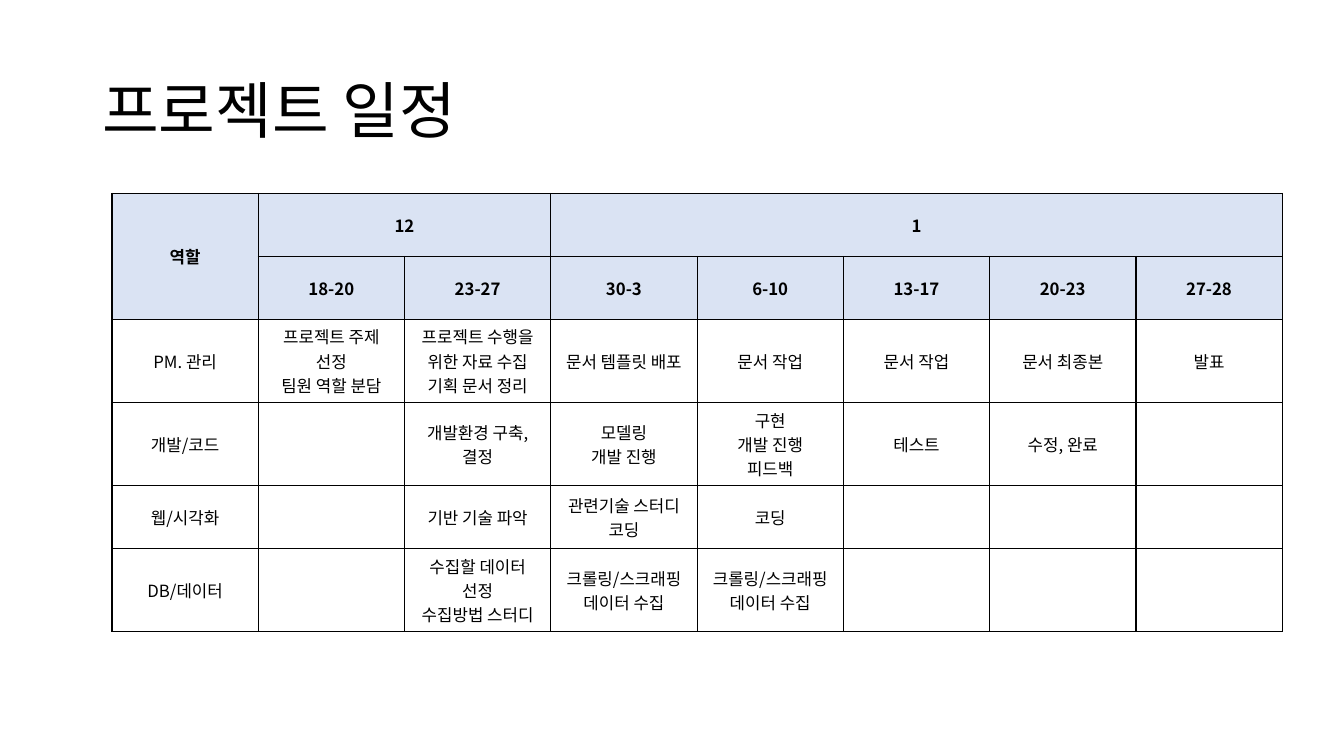
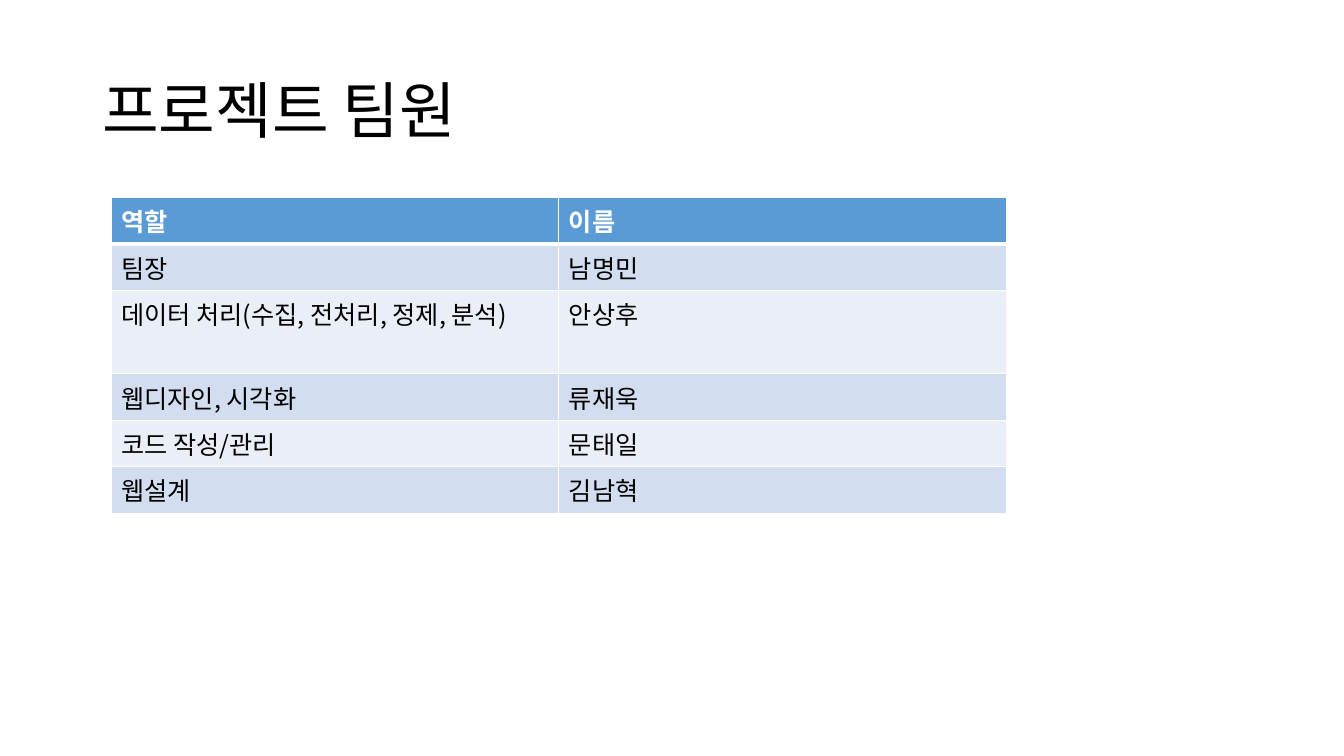
from lxml.etree import SubElement
from pptx import Presentation
from pptx.dml.color import RGBColor
from pptx.enum.text import MSO_ANCHOR, PP_ALIGN
from pptx.oxml.ns import qn
from pptx.util import Pt

FONT = "Noto Sans CJK KR"
COLORS = {
    "text": "000000",
    "white": "FFFFFF",
    "schedule_header": "DAE3F3",
    "team_header": "5B9BD5",
    "band_dark": "D2DEEF",
    "band_light": "EAEFF7",
}

presentation = Presentation()
presentation.slide_width = Pt(960)
presentation.slide_height = Pt(540)


def write(text_frame, text, size, color="text", bold=False, align=PP_ALIGN.LEFT, spacing=1.0):
    for index, line in enumerate(text.split("\n")):
        paragraph = text_frame.add_paragraph() if index else text_frame.paragraphs[0]
        paragraph.alignment = align
        paragraph.line_spacing = spacing
        paragraph.font.size = Pt(size)
        if not line:
            continue
        run = paragraph.add_run()
        run.text = line
        run.font.size = Pt(size)
        run.font.bold = bold
        run.font.name = FONT
        run.font.color.rgb = RGBColor.from_string(COLORS[color])
        SubElement(run.font._element, qn("a:ea"), typeface=FONT)


def style_cell(cell, border, fill=None, top=1, bottom=1):
    properties = cell._tc.get_or_add_tcPr()
    for side, width in (("L", 1), ("R", 1), ("T", top), ("B", bottom)):
        line = SubElement(properties, qn(f"a:ln{side}"), w=str(Pt(width)))
        line_fill = SubElement(line, qn("a:solidFill"))
        SubElement(line_fill, qn("a:srgbClr"), val=COLORS[border])
    if fill:
        cell.fill.solid()
        cell.fill.fore_color.rgb = RGBColor.from_string(COLORS[fill])
    else:
        cell.fill.background()


schedule = [
    ["역할", "12", "", "1", "", "", "", ""],
    ["", "18-20", "23-27", "30-3", "6-10", "13-17", "20-23", "27-28"],
    ["PM. 관리", "프로젝트 주제 선정\n팀원 역할 분담", "프로젝트 수행을 위한 자료 수집\n기획 문서 정리",
     "문서 템플릿 배포", "문서 작업", "문서 작업", "문서 최종본", "발표"],
    ["개발/코드", "", "개발환경 구축,결정", "모델링\n개발 진행", "구현\n개발 진행\n피드백",
     "테스트", "수정, 완료", ""],
    ["웹/시각화", "", "기반 기술 파악", "관련기술 스터디\n코딩", "코딩", "", "", ""],
    ["DB/데이터", "", "수집할 데이터 선정\n수집방법 스터디", "크롤링/스크래핑\n데이터 수집",
     "크롤링/스크래핑\n데이터 수집", "", "", ""],
]
team = [
    ["역할", "이름"],
    ["팀장", "남명민"],
    ["데이터 처리(수집, 전처리, 정제, 분석)", "안상후"],
    ["웹디자인, 시각화", "류재욱"],
    ["코드 작성/관리", "문태일"],
    ["웹설계", "김남혁"],
]
schedule_heights = [45, 45, 59.4, 59.4, 45, 59.4]
team_heights = [33.2, 33.2, 59.4, 33.2, 33.2, 33.2]

tables = []
for title, rows, left, top, column_width, row_heights in (
    ("프로젝트 일정", schedule, 80, 138.2, 104.5, schedule_heights),
    ("프로젝트 팀원", team, 79.5, 141.2, 319.7, team_heights),
):
    slide = presentation.slides.add_slide(presentation.slide_layouts[6])
    title_box = slide.shapes.add_textbox(Pt(66), Pt(28.75), Pt(828), Pt(104.4))
    title_box.text_frame.word_wrap = True
    title_box.text_frame.vertical_anchor = MSO_ANCHOR.MIDDLE
    write(title_box.text_frame, title, 44, spacing=0.9)

    table = slide.shapes.add_table(
        len(rows), len(rows[0]), Pt(left), Pt(top),
        Pt(column_width * len(rows[0])), Pt(sum(row_heights)),
    ).table
    for column in table.columns:
        column.width = Pt(column_width)
    for row, height in zip(table.rows, row_heights):
        row.height = Pt(height)
    tables.append(table)

schedule_table, team_table = tables

for first, last in (((0, 0), (1, 0)), ((0, 1), (0, 2)), ((0, 3), (0, 7))):
    schedule_table.cell(*first).merge(schedule_table.cell(*last))
for row_index, row in enumerate(schedule):
    header = row_index < 2
    for column_index, text in enumerate(row):
        cell = schedule_table.cell(row_index, column_index)
        style_cell(cell, "text", "schedule_header" if header else None)
        cell.vertical_anchor = MSO_ANCHOR.MIDDLE
        write(cell.text_frame, text, 12, bold=header, align=PP_ALIGN.CENTER)

for row_index, row in enumerate(team):
    header = row_index == 0
    band = "band_dark" if row_index % 2 else "band_light"
    for column_index, text in enumerate(row):
        cell = team_table.cell(row_index, column_index)
        style_cell(cell, "white", "team_header" if header else band,
                   top=3 if row_index == 1 else 1, bottom=3 if header else 1)
        write(cell.text_frame, text, 18, "white" if header else "text", bold=header)

presentation.save("out.pptx")
